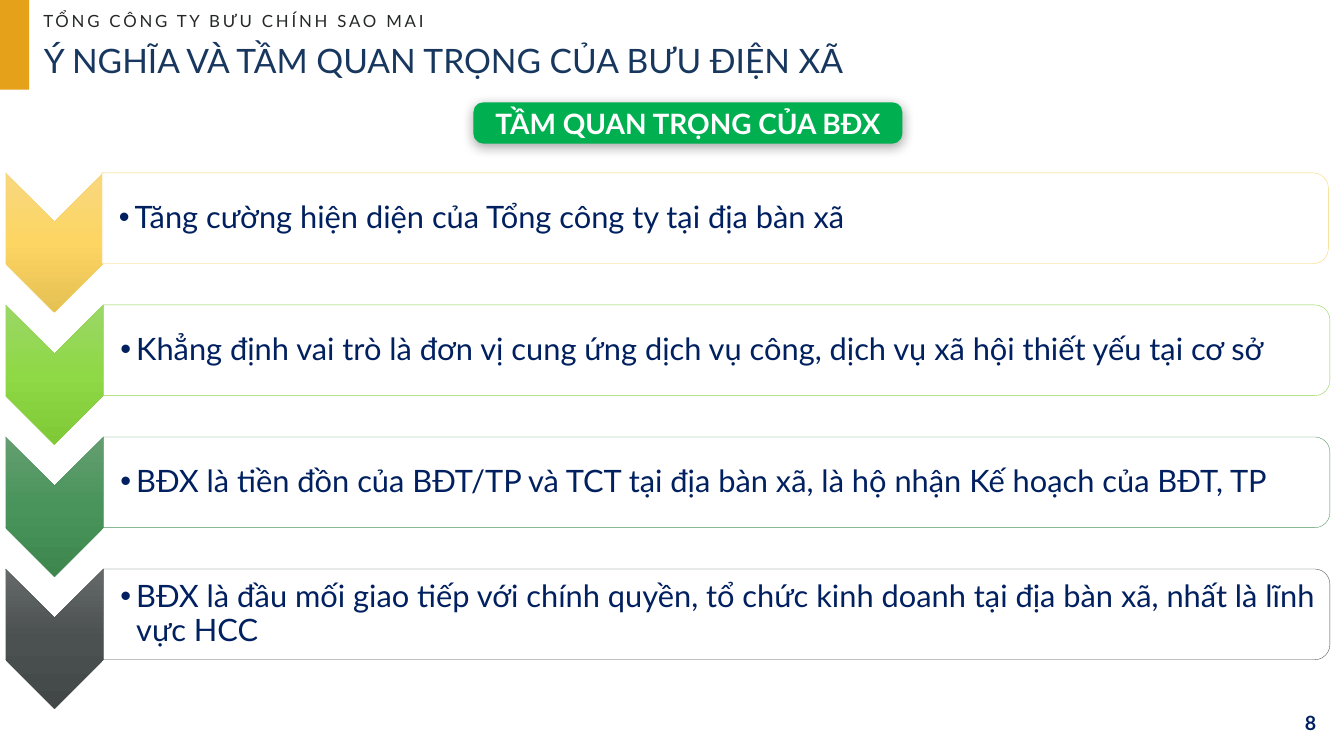
"""Build the slide on why the commune post office matters."""
from lxml import etree
from pptx import Presentation
from pptx.dml.color import RGBColor
from pptx.enum.shapes import MSO_SHAPE
from pptx.enum.text import MSO_ANCHOR, MSO_AUTO_SIZE, PP_ALIGN
from pptx.oxml.ns import nsdecls, qn
from pptx.util import Pt

RECTANGLE = MSO_SHAPE.RECTANGLE
ROUNDED = MSO_SHAPE.ROUNDED_RECTANGLE
CHEVRON = MSO_SHAPE.CHEVRON
HALF_ROUNDED = MSO_SHAPE.ROUND_2_SAME_RECTANGLE
MIDDLE = MSO_ANCHOR.MIDDLE
FIXED = MSO_AUTO_SIZE.NONE
LEFT, CENTER, RIGHT = PP_ALIGN.LEFT, PP_ALIGN.CENTER, PP_ALIGN.RIGHT

COMPANY = "TỔNG CÔNG TY BƯU CHÍNH SAO MAI"
TITLE = "Ý NGHĨA VÀ TẦM QUAN TRỌNG CỦA BƯU ĐIỆN XÃ"
HEADING = "TẦM QUAN TRỌNG CỦA BĐX"
PAGE_NUMBER = "8"
POINTS = [
    ("Tăng cường hiện diện của Tổng công ty tại địa bàn xã",
     202, "F5D26A", ("F8D87E", "FCD563", "E5C053")),
    ("Khẳng định vai trò là đơn vị cung ứng dịch vụ công, dịch vụ xã hội thiết yếu tại cơ sở",
     205, "8FD14C", ("9BD767", "8FD846", "7FC836")),
    ("BĐX là tiền đồn của BĐT/TP và TCT tại địa bàn xã, là hộ nhận Kế hoạch của BĐT, TP",
     205, "4C915D", ("659E71", "48945B", "3D874F")),
    ("BĐX là đầu mối giao tiếp với chính quyền, tổ chức kinh doanh tại địa bàn xã, "
     "nhất là lĩnh vực HCC",
     205, "4B5050", ("656969", "4B5050", "424848")),
]

THEME = {
    "font": "Lato",
    "accent": "E6A11A", "heading_fill": "00B050", "shadow": "0D0D0D",
    "white": "FFFFFF", "company": "262828", "title": "17375E", "text": "002060",
    "company_size": 24, "number_size": 28, "heading_size": 40,
    "point_size": 44, "title_size": 48,
}

EMU_PER_PX = 9144
FIRST_TOP, ROW_STEP = 343, 262


def px(length):
    """Turn px into EMU."""
    return round(length * EMU_PER_PX)


def place(box, left, top, width, height):
    """Move and size a box."""
    box.left, box.top, box.width, box.height = map(px, (left, top, width, height))


def write(box, text, size, color, bold=False, align=LEFT, insets=(10, 5, 10, 5),
          wrap=True, tracking=0):
    """Fill a box with one formatted paragraph and return the paragraph."""
    frame = box.text_frame
    frame.text = text
    frame.auto_size, frame.word_wrap, frame.vertical_anchor = FIXED, wrap, MIDDLE
    (frame.margin_left, frame.margin_top,
     frame.margin_right, frame.margin_bottom) = map(px, insets)
    para = frame.paragraphs[0]
    para.alignment = align
    para.space_before = Pt(0)
    font = para.runs[0].font
    font.name, font.size, font.bold = THEME["font"], Pt(THEME[size]), bold
    font.color.rgb = RGBColor.from_string(THEME[color])
    if tracking:
        font._element.set("spc", str(tracking * 100))
    return para


def add_box(page, *frame):
    """Add an empty text box."""
    return page.shapes.add_textbox(*map(px, frame))


def add_shape(page, kind, frame, fill=None, line=None):
    """Add a shape without a shadow."""
    shape = page.shapes.add_shape(kind, *map(px, frame))
    shape.shadow.inherit = False
    if fill:
        shape.fill.solid()
        shape.fill.fore_color.rgb = RGBColor.from_string(fill)
    if line:
        shape.line.color.rgb = RGBColor.from_string(line)
        shape.line.width = Pt(0.5)
    else:
        shape.line.fill.background()
    return shape


def add_turned(page, kind, left, top, width, height, **style):
    """Add a shape turned a quarter so that it covers the given area."""
    shift = (width - height) / 2
    shape = add_shape(page, kind, (left + shift, top - shift, height, width), **style)
    shape.rotation = 90
    return shape


def shade(shape, colors):
    """Give a shape a three-step gradient from top to bottom."""
    shape.fill.gradient()
    gradient = shape._element.spPr.find(qn("a:gradFill"))
    gradient.set("rotWithShape", "0")
    stops = gradient.find(qn("a:gsLst"))
    for stop in list(stops):
        stops.remove(stop)
    for position, color in zip((0, 50000, 100000), colors):
        stop = etree.SubElement(stops, qn("a:gs"), pos=str(position))
        etree.SubElement(stop, qn("a:srgbClr"), val=color)
    gradient.find(qn("a:lin")).set("ang", "5400000")


def add_shadow(shape):
    """Drop a soft shadow below a shape."""
    effects = shape._element.spPr.find(qn("a:effectLst"))
    effects.append(etree.fromstring(
        f'<a:outerShdw {nsdecls("a")} blurRad="{Pt(17)}" dist="{Pt(4)}" dir="5400000" '
        f'algn="t" rotWithShape="0"><a:srgbClr val="{THEME["shadow"]}">'
        '<a:alpha val="37000"/></a:srgbClr></a:outerShdw>'))


def add_bullet(para):
    """Give a paragraph a hanging bullet."""
    properties = para._p.get_or_add_pPr()
    properties.set("marL", str(px(31)))
    properties.set("indent", str(px(-31)))
    etree.SubElement(properties, qn("a:buFont"), typeface="Arial")
    etree.SubElement(properties, qn("a:buChar"), char="•")


def add_point(page, body, row, text, left, line, colors):
    """Draw one row: chevron, outlined band and bulleted text."""
    top = FIRST_TOP + row * ROW_STEP
    chevron = add_turned(page, CHEVRON, 11, top, 194, 277, line=line)
    shade(chevron, colors)
    band = add_turned(page, HALF_ROUNDED, left, top, 2433, 180,
                      fill=THEME["white"], line=line)
    color = band.fill._xPr.find(qn("a:solidFill"))[0]
    etree.SubElement(color, qn("a:alpha"), val="90000")
    place(body, left, top + 9, 2424, 163)
    para = write(body, text, "point_size", "text", insets=(34, 3, 3, 3))
    para.line_spacing = 0.9
    add_bullet(para)
    page.shapes._spTree.append(body._element)


def main():
    """Build and save the deck."""
    deck = Presentation()
    deck.slide_width, deck.slide_height = px(2666), px(1500)
    page = deck.slides.add_slide(deck.slide_layouts.get_by_name("Comparison"))
    title, *bodies = page.placeholders

    add_shape(page, RECTANGLE, (0, 0, 58, 178), fill=THEME["accent"])
    write(add_box(page, 2016, 1394, 622, 80), PAGE_NUMBER, "number_size", "text",
          bold=True, align=RIGHT, insets=(27, 13, 27, 13))
    place(title, 77, 73, 2183, 94)
    write(title, TITLE, "title_size", "title")

    for row, (body, point) in enumerate(zip(bodies, POINTS)):
        add_point(page, body, row, *point)

    write(add_box(page, 86, 22, 764, 40), COMPANY, "company_size", "company",
          insets=(0, 0, 0, 0), wrap=False, tracking=4)
    heading = add_shape(page, ROUNDED, (939, 203, 851, 82), fill=THEME["heading_fill"])
    heading.adjustments[0] = 0.24
    add_shadow(heading)
    write(heading, HEADING, "heading_size", "white", bold=True, align=CENTER)
    deck.save("out.pptx")


if __name__ == "__main__":
    main()
